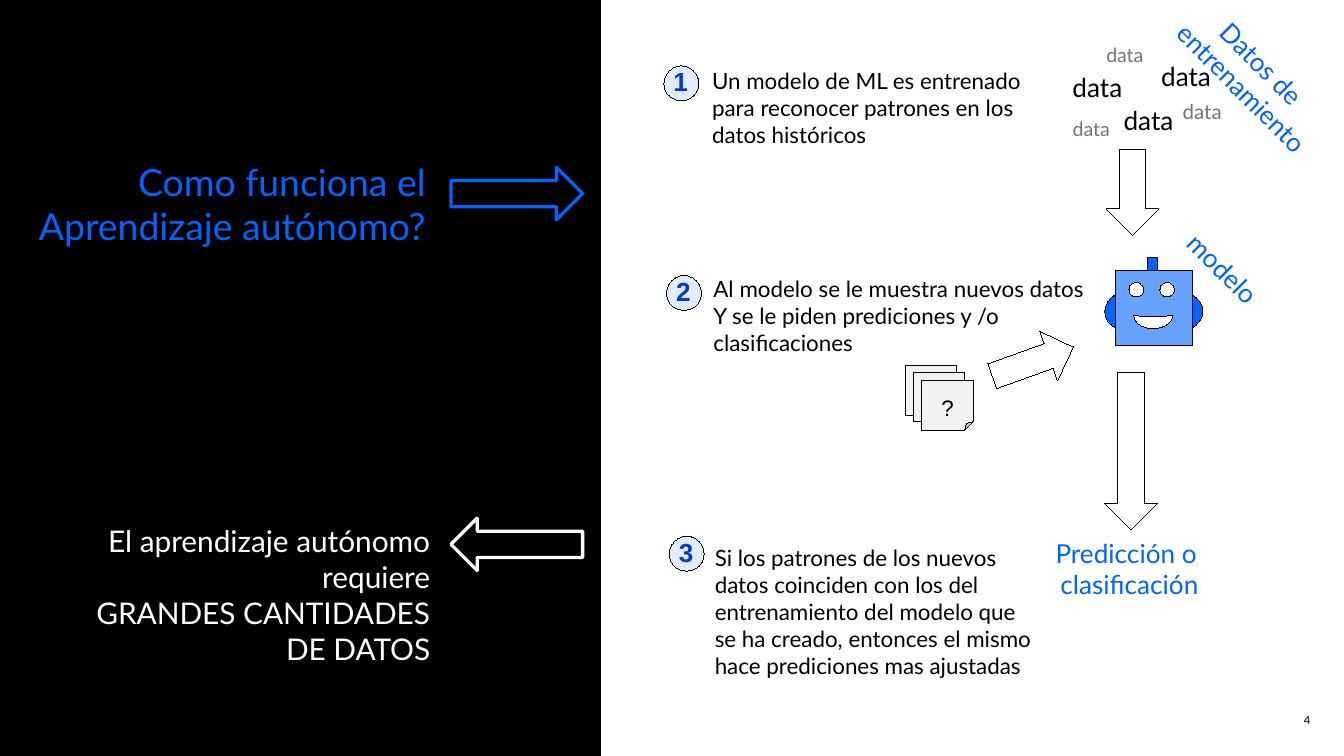
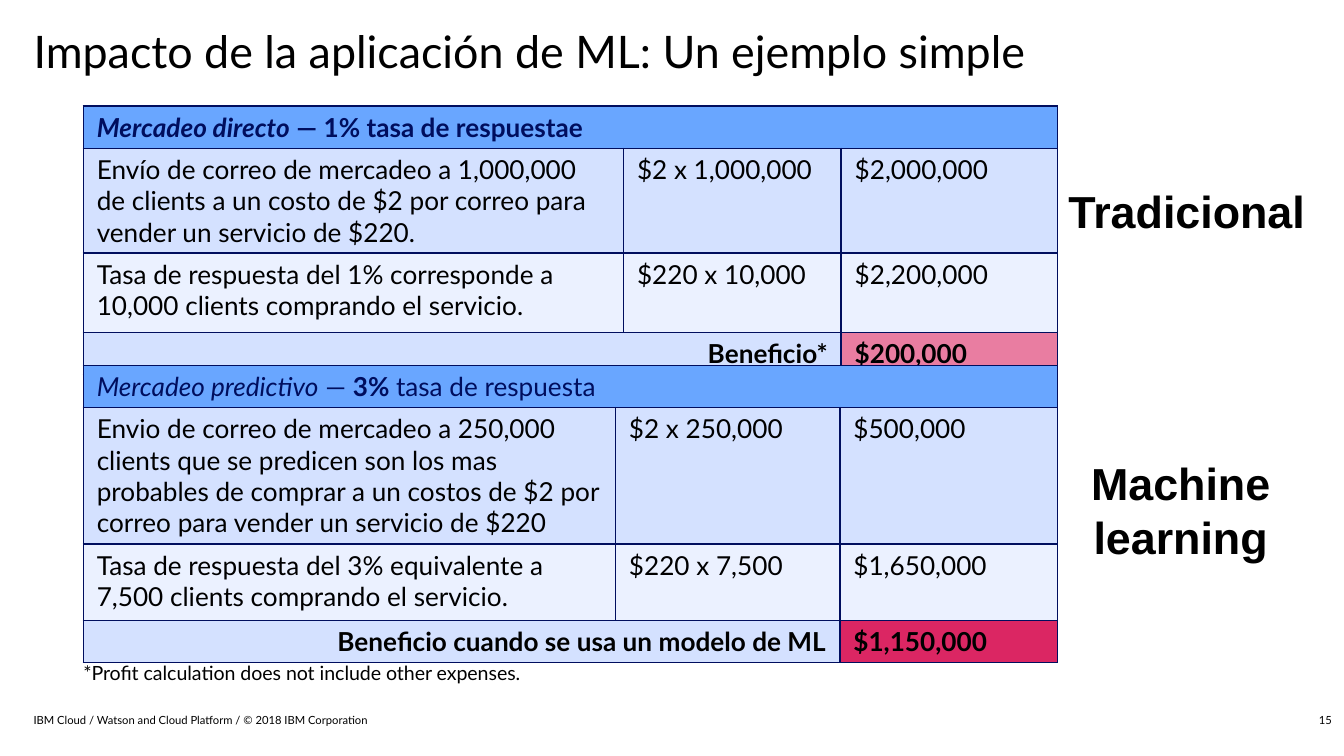
from lxml.etree import SubElement
from pptx import Presentation
from pptx.dml.color import RGBColor
from pptx.enum.shapes import MSO_SHAPE
from pptx.enum.text import MSO_ANCHOR, MSO_AUTO_SIZE, PP_ALIGN
from pptx.oxml.ns import qn
from pptx.util import Emu, Pt

PX = 9144  # 100 px to the inch
BLACK, WHITE, GRAY = "000000", "FFFFFF", "757575"
BLUE, SKY, NAVY = "0064FF", "66A2FF", "000E5E"
BADGE_FILL, BADGE_TEXT, PAPER = "E1EDFF", "003BC9", "F2F2F2"
HEADER, ROW_DARK, ROW_LIGHT = "69A6FF", "D4E1FF", "EBF1FF"
LEFT, CENTER, RIGHT = PP_ALIGN.LEFT, PP_ALIGN.CENTER, PP_ALIGN.RIGHT


def px(*lengths):
    return [Emu(length * PX) for length in lengths]


def rgb(color):
    return RGBColor.from_string(color)


def assign(target, values):
    for name, value in values.items():
        setattr(target, name, value)


def set_insets(target, *insets):
    """Set the left, top, right and bottom margins of a frame or cell."""
    names = ("margin_left", "margin_top", "margin_right", "margin_bottom")
    assign(target, dict(zip(names, px(*insets))))


def write(frame, lines, size, color=BLACK, align=LEFT, font="Lato",
          bold=False, **para_format):
    """Write one paragraph per line; a line is text or (text, font values) pairs."""
    for index, line in enumerate(lines):
        para = frame.add_paragraph() if index else frame.paragraphs[0]
        assign(para, {"alignment": align, **para_format})
        for text, extra in [(line, {})] if isinstance(line, str) else line:
            span = para.add_run()
            span.text = text
            assign(span.font, {"name": font, "size": Pt(size), "bold": bold,
                               "italic": False, **extra})
            span.font.color.rgb = rgb(color)


def paint(shape, fill, line=BLACK, weight=None):
    """Fill and outline a shape; without a weight the line is a hairline."""
    if fill:
        shape.fill.solid()
        shape.fill.fore_color.rgb = rgb(fill)
    else:
        shape.fill.background()
    shape.line.color.rgb = rgb(line)
    if weight:
        shape.line.width = Pt(weight)


def add_block(shapes, kind, box, fill, rotation=0, **outline):
    shape = shapes.add_shape(kind, *px(*box))
    shape.shadow.inherit = False
    shape._element.remove(shape._element.find(qn("p:style")))
    shape.rotation = rotation
    paint(shape, fill, **outline)
    return shape


def add_label(shapes, box, lines, size, color=BLACK, wrap=False, rotation=0,
              insets=(10, 5, 10, 5), **text_format):
    """Add a text box that grows with its text."""
    label = shapes.add_textbox(*px(*box))
    label.rotation = rotation
    frame = label.text_frame
    assign(frame, {"word_wrap": wrap, "auto_size": MSO_AUTO_SIZE.SHAPE_TO_FIT_TEXT})
    set_insets(frame, *insets)
    write(frame, lines, size, color, **text_format)


def add_footer(page, left, width, text, align):
    frame = page.shapes.add_textbox(*px(left, 528, width, 15)).text_frame
    assign(frame, {"word_wrap": True, "vertical_anchor": MSO_ANCHOR.MIDDLE})
    set_insets(frame, 0, 0, 0, 0)
    write(frame, [text], 6, align=align)


def set_title(page, box, lines, size, color, anchor, insets, **text_format):
    title = page.shapes.title
    assign(title, dict(zip(("left", "top", "width", "height"), px(*box))))
    frame = title.text_frame
    assign(frame, {"word_wrap": True, "auto_size": MSO_AUTO_SIZE.NONE,
                   "vertical_anchor": anchor})
    set_insets(frame, *insets)
    write(frame, lines, size, color, **text_format)
    return title


def add_black_panel(page, left, top, width, height):
    title = set_title(page, (left, top, width, height),
                      ["Como funciona el", "Aprendizaje autónomo?"],
                      20, BLUE, MSO_ANCHOR.MIDDLE, (20, 0, 130, 260), align=RIGHT)
    paint(title, BLACK)
    for arrow_top, rotation, color in ((95, 270, BLUE), (356, 90, WHITE)):
        add_block(page.shapes, MSO_SHAPE.DOWN_ARROW,
                  (left + 389, top + arrow_top, 39, 98), None, rotation,
                  line=color, weight=1.75)
    add_label(page.shapes, (left + 63, top + 384, 291, 118),
              ["El aprendizaje autónomo requiere", "GRANDES CANTIDADES DE DATOS"],
              16, WHITE, wrap=True, align=RIGHT)


def add_robot(page, left, top):
    parts = page.shapes.add_group_shape().shapes
    for kind, x, y, width, height, fill, rotation in (
            (MSO_SHAPE.RECTANGLE, 32, 0, 7, 23, BLUE, 0),
            (MSO_SHAPE.MOON, 0, 25, 17, 29, BLUE, 0),
            (MSO_SHAPE.MOON, 56, 25, 17, 29, BLUE, 180),
            (MSO_SHAPE.RECTANGLE, 8, 9, 57, 56, SKY, 0),
            (MSO_SHAPE.OVAL, 18, 18, 11, 11, WHITE, 0),
            (MSO_SHAPE.OVAL, 41, 18, 11, 11, WHITE, 0)):
        add_block(parts, kind, (left + x, top + y, width, height), fill, rotation)
    smile = add_block(parts, MSO_SHAPE.MOON, (left + 31, top + 33, 10, 29), WHITE, 270)
    smile.adjustments[0] = 0.875


def add_data_cloud(page, left, top):
    for x, y, width, height, size, color in (
            (82, 42, 51, 29, 11, GRAY), (0, 21, 59, 34, 14, BLACK),
            (66, 13, 59, 34, 14, BLACK), (38, 46, 59, 34, 14, BLACK),
            (0, 55, 50, 28, 10.5, GRAY), (25, 0, 50, 28, 10.5, GRAY)):
        add_label(page.shapes, (left + x, top + y, width, height), ["data"],
                  size, color, align=CENTER)


def add_step(page, left, top, number, text_box, lines, wrap=False):
    """Add a numbered badge with its text; text_box is relative to the badge."""
    x, y, width, height = text_box
    add_label(page.shapes, (left + x, top + y, width, height), lines, 12, wrap=wrap)
    parts = page.shapes.add_group_shape().shapes
    add_block(parts, MSO_SHAPE.OVAL, (left, top, 26, 26), BADGE_FILL)
    add_label(parts, (left - 3, top - 5, 31, 34), [str(number)], 14, BADGE_TEXT,
              align=CENTER, font="Arial", bold=True)


def add_paper_stack(page, left, top, count=3):
    for index in range(count):
        paper = add_block(page.shapes, MSO_SHAPE.FOLDED_CORNER,
                          (left + 6 * index, top + 11 * index // 2, 38, 37), PAPER)
        frame = paper.text_frame
        frame.vertical_anchor = MSO_ANCHOR.MIDDLE
        set_insets(frame, 0, 10, 0, 0)
        write(frame, ["?"], 12, align=CENTER, font="Arial")


def add_process(page, left, top):
    """Draw the path from the training data through the model to the prediction."""
    add_data_cloud(page, left, top)
    add_robot(page, left + 35, top + 165)
    for x, y, height, rotation in ((36, 84, 64, 0), (-38, 210, 64, 250.2),
                                   (35, 250, 117, 0)):
        add_block(page.shapes, MSO_SHAPE.DOWN_ARROW, (left + x, top + y, 39, height),
                  WHITE, rotation)
    for x, y, width, height, lines, rotation in (
            (70, 2, 150, 57, ["Datos de ", "entrenamiento"], 45),
            (79, 156, 87, 34, ["modelo"], 45),
            (-13, 368, 133, 57, ["Predicción o ", "clasificación"], 0)):
        add_label(page.shapes, (left + x, top + y, width, height), lines, 14, BLUE,
                  rotation=rotation, align=CENTER)


def set_borders(cell):
    properties = cell._tc.get_or_add_tcPr()
    for side in "LRTB":
        border = SubElement(properties, qn(f"a:ln{side}"), w=str(Pt(1)))
        SubElement(SubElement(border, qn("a:solidFill")), qn("a:srgbClr"), val=NAVY)


def add_cost_table(page, box, columns, heights, heading, body, total, total_fill):
    table = page.shapes.add_table(4, 3, *px(*box)).table
    assign(table, {"first_row": False, "horz_banding": False})
    for column, width in zip(table.columns, px(*columns)):
        column.width = width
    for row, height in zip(table.rows, px(*heights)):
        row.height = height
    table.cell(0, 0).merge(table.cell(0, 2))
    table.cell(3, 0).merge(table.cell(3, 1))

    fills = (HEADER, ROW_DARK, ROW_LIGHT, ROW_DARK)
    for r, fill in enumerate(fills):
        for c in range(3):
            cell = table.cell(r, c)
            set_borders(cell)
            cell.fill.solid()
            cell.fill.fore_color.rgb = rgb(total_fill if (r, c) == (3, 2) else fill)
            set_insets(cell, 10, 4, 10, 4)

    write(table.cell(0, 0).text_frame, [heading], 14, NAVY)
    for r, texts in enumerate(body, 1):
        for c, text in enumerate(texts):
            write(table.cell(r, c).text_frame, [text], 14)
    for c, text, align in ((0, total[0], RIGHT), (2, total[1], LEFT)):
        write(table.cell(3, c).text_frame, [text], 14, align=align, bold=True)


def build_process_slide(deck):
    page = deck.slides.add_slide(deck.slide_layouts[5])
    add_black_panel(page, -24, 0, 471, 563)
    add_process(page, 787, 27)
    add_step(page, 494, 49, 1, (26, -4, 260, 71),
             ["Un modelo de ML es entrenado", "para reconocer patrones en los",
              "datos históricos"])
    add_step(page, 496, 205, 2, (25, -5, 308, 71),
             ["Al modelo se le muestra nuevos datos", "Y se le piden prediciones y /o",
              "clasificaciones"])
    add_step(page, 498, 399, 3, (24, 1, 257, 131),
             ["Si los patrones de los nuevos datos coinciden con los del "
              "entrenamiento del modelo que se ha creado, entonces el mismo "
              "hace prediciones mas ajustadas"], wrap=True)
    add_paper_stack(page, 674, 272)
    add_footer(page, 750, 225, "4", RIGHT)


def build_impact_slide(deck):
    page = deck.slides.add_slide(deck.slide_layouts[5])
    set_title(page, (25, 22, 891, 42),
              ["Impacto de la aplicación de ML: Un ejemplo simple"],
              24, BLACK, MSO_ANCHOR.TOP, (0, 0, 0, 0), line_spacing=0.9)
    add_footer(page, 766, 225, "15", RIGHT)
    add_footer(page, 25, 700,
               "IBM Cloud / Watson and Cloud Platform / © 2018 IBM Corporation", LEFT)
    add_cost_table(
        page, (62, 79, 725, 198), (402, 162, 161), (31, 78, 59, 31),
        [("Mercadeo directo", {"bold": True, "italic": True}),
         (" — 1% tasa de respuestae", {"bold": True})],
        [("Envío de correo de mercadeo a 1,000,000 de clients a un costo de $2 "
          "por correo para vender un servicio de $220.",
          "$2 x 1,000,000", "$2,000,000"),
         ("Tasa de respuesta del 1% corresponde a 10,000 clients comprando el "
          "servicio.", "$220 x 10,000", "$2,200,000")],
        ("Beneficio*", "$200,000"), "E97DA1")
    add_cost_table(
        page, (62, 272, 725, 220), (396, 167, 162), (31, 77, 57, 31),
        [("Mercadeo predictivo", {"italic": True}), (" — ", {}),
         ("3% ", {"bold": True}), ("tasa de respuesta", {})],
        [("Envio de correo de mercadeo a 250,000 clients que se predicen son los "
          "mas probables de comprar a un costos de $2 por correo para vender un "
          "servicio de $220", "$2 x 250,000", "$500,000"),
         ("Tasa de respuesta del 3% equivalente a 7,500 clients comprando el "
          "servicio.", "$220 x 7,500", "$1,650,000")],
        ("Beneficio cuando se usa un modelo de ML", "$1,150,000"), "DB2663")
    note = {"wrap": True, "insets": (0, 0, 0, 0), "space_after": Pt(6)}
    heading = {**note, "font": "Arial", "bold": True}
    add_label(page.shapes, (795, 137, 186, 40), ["Tradicional"], 24, **heading)
    add_label(page.shapes, (795, 339, 167, 81), ["Machine learning"], 24,
              align=CENTER, **heading)
    add_label(page.shapes, (62, 492, 417, 18),
              ["*Profit calculation does not include other expenses."], 10.5, **note)


def main():
    deck = Presentation()
    deck.slide_width, = px(1000)
    deck.slide_height = deck.slide_width * 9 // 16
    build_process_slide(deck)
    build_impact_slide(deck)
    deck.save("out.pptx")


if __name__ == "__main__":
    main()
